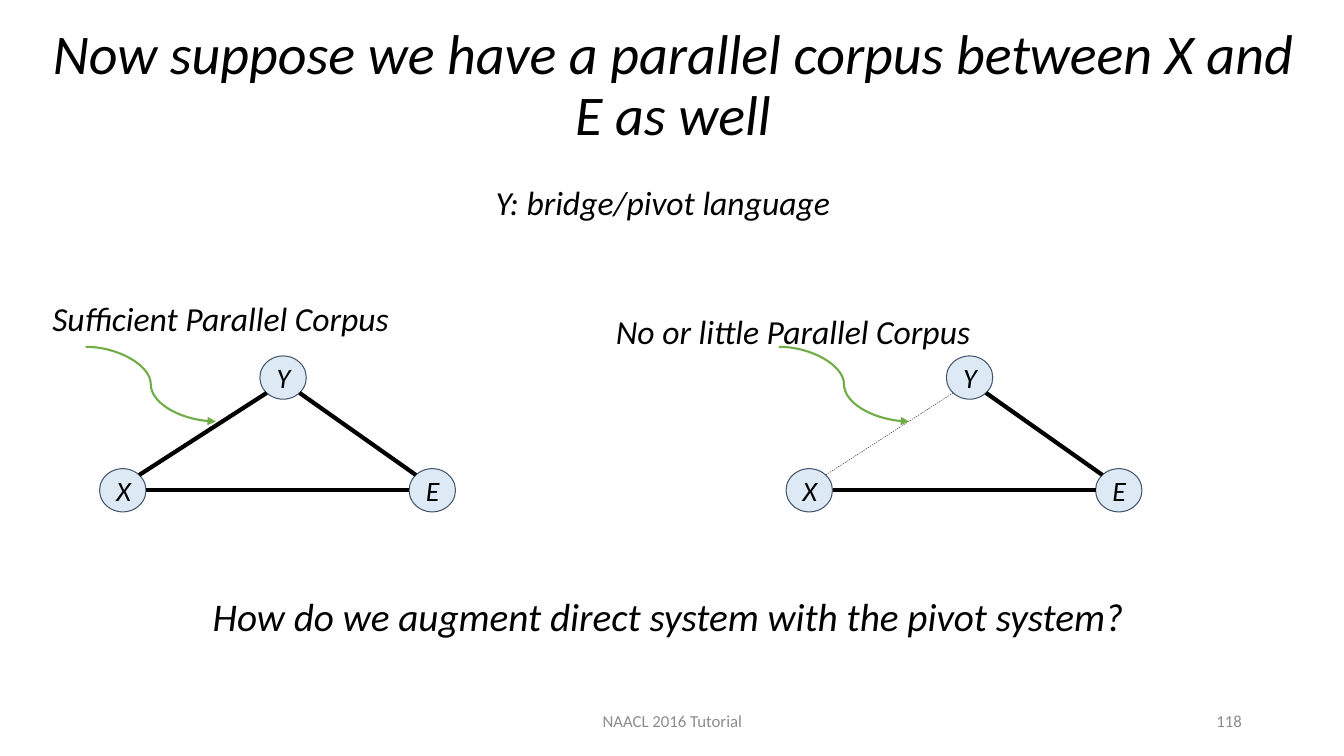
from dataclasses import dataclass

from lxml.etree import SubElement
from pptx import Presentation
from pptx.dml.color import RGBColor
from pptx.enum.dml import MSO_LINE
from pptx.enum.shapes import MSO_CONNECTOR, MSO_SHAPE
from pptx.enum.text import MSO_ANCHOR, MSO_AUTO_SIZE, PP_ALIGN
from pptx.oxml.ns import qn
from pptx.util import Cm, Pt


@dataclass(frozen=True)
class Theme:
    font: str = "Calibri"
    ink: str = "000000"
    grey: str = "8C8C8C"
    node: str = "BDD7EE"
    rim: str = "44546A"
    arrow: str = "70AD47"
    title: int = 40
    ask: int = 28
    label: int = 24
    letter: int = 20
    foot: int = 12


THEME = Theme()
NODE_W, NODE_H = 1.17, 1.09
NODES = {"X": (2.51, 11.81), "Y": (6.55, 8.97), "E": (10.31, 11.81)}
DIAG = 0.5 ** 0.5  # where an ellipse meets its diagonal


def rgb(code):
    return RGBColor.from_string(code)


def write(shape, text, size, color=THEME.ink, align=PP_ALIGN.LEFT,
          anchor=MSO_ANCHOR.TOP, italic=True):
    frame = shape.text_frame
    frame.text = text
    frame.word_wrap = True
    frame.vertical_anchor = anchor
    para = frame.paragraphs[0]
    para.alignment = align
    font = para.runs[0].font
    font.name, font.size, font.italic = THEME.font, Pt(size), italic
    font.color.rgb = rgb(color)
    return frame


def add_title(slide, text):
    title = slide.shapes.title
    title.left, title.top = Cm(1.07), Cm(1.22)
    title.width, title.height = Cm(31.78), Cm(1.93)
    frame = write(title, text, THEME.title, align=PP_ALIGN.CENTER,
                  anchor=MSO_ANCHOR.MIDDLE)
    frame.auto_size = MSO_AUTO_SIZE.NONE
    frame.paragraphs[0].line_spacing = 0.9


def add_label(slide, text, left, top, width, height, size, **style):
    box = slide.shapes.add_textbox(Cm(left), Cm(top), Cm(width), Cm(height))
    return write(box, text, size, **style)


def add_node(slide, name, left, top):
    node = slide.shapes.add_shape(MSO_SHAPE.OVAL, Cm(left), Cm(top),
                                  Cm(NODE_W), Cm(NODE_H))
    node.shadow.inherit = False
    node.fill.solid()
    node.fill.fore_color.rgb = rgb(THEME.node)
    color = node.fill._xPr.find(qn("a:solidFill"))[0]
    SubElement(color, qn("a:alpha"), val="50000")
    node.line.color.rgb = rgb(THEME.rim)
    node.line.width = Pt(0.75)
    frame = write(node, name, THEME.letter, align=PP_ALIGN.CENTER,
                  anchor=MSO_ANCHOR.MIDDLE)
    frame.margin_left = frame.margin_right = Cm(0.25)
    frame.margin_top = frame.margin_bottom = Cm(0.25)


def add_line(slide, start, end, color=THEME.ink, width=3,
             kind=MSO_CONNECTOR.STRAIGHT):
    ends = [Cm(value) for value in (*start, *end)]
    line = slide.shapes.add_connector(kind, *ends)
    line.line.color.rgb = rgb(color)
    line.line.width = Pt(width)
    SubElement(line._element.spPr, qn("a:effectLst"))
    return line


def add_arrow(slide, left):
    arrow = add_line(slide, (left, 8.74), (left + 3.28, 10.62),
                     THEME.arrow, 1.5, MSO_CONNECTOR.CURVE)
    SubElement(arrow.line._get_or_add_ln(), qn("a:tailEnd"), type="triangle")


def rim_point(node, across, down):
    """Point on a node's rim; across and down run from -1 to 1."""
    left, top = node
    return (left + NODE_W / 2 * (1 + across), top + NODE_H / 2 * (1 + down))


def add_graph(slide, shift, weak):
    """Draw the X-Y-E triangle; a weak one has a thin dashed X-Y side."""
    nodes = {name: (left + shift, top) for name, (left, top) in NODES.items()}
    for name, place in nodes.items():
        add_node(slide, name, *place)
    side = add_line(slide, rim_point(nodes["X"], DIAG, -DIAG),
                    rim_point(nodes["Y"], -DIAG, DIAG),
                    width=0.25 if weak else 3)
    if weak:
        side.line.dash_style = MSO_LINE.DASH
    add_line(slide, rim_point(nodes["Y"], DIAG, DIAG),
             rim_point(nodes["E"], -DIAG, -DIAG))
    add_line(slide, rim_point(nodes["X"], 1, 0), rim_point(nodes["E"], -1, 0))


def add_foot(slide, text, left, width, align):
    add_label(slide, text, left, 17.65, width, 1.02, THEME.foot,
              color=THEME.grey, align=align, anchor=MSO_ANCHOR.MIDDLE,
              italic=False)


def main():
    deck = Presentation()
    deck.slide_width, deck.slide_height = Cm(33.87), Cm(19.05)
    slide = deck.slides.add_slide(deck.slide_layouts[5])
    add_title(slide, "Now suppose we have a parallel corpus between X and E as well")

    add_graph(slide, 0, weak=False)
    add_arrow(slide, 2.16)
    add_label(slide, "Sufficient Parallel Corpus", 1.07, 7.39, 9.25, 1.27, THEME.label)

    add_graph(slide, 17.3, weak=True)
    add_arrow(slide, 19.63)
    add_label(slide, "No or little Parallel Corpus", 15.27, 7.7, 10.26, 1.27, THEME.label)

    pivot = add_label(slide, "Y: bridge/pivot language", 12.24, 4.47, 9.04, 1.27,
                      THEME.label)
    pivot.word_wrap = False
    add_label(slide, "How do we augment direct system with the pivot system?",
              5.11, 14.81, 24.87, 1.45, THEME.ask)

    add_foot(slide, "118", 23.93, 7.62, PP_ALIGN.RIGHT)
    add_foot(slide, "NAACL 2016 Tutorial", 11.23, 11.43, PP_ALIGN.CENTER)
    deck.save("out.pptx")


if __name__ == "__main__":
    main()
